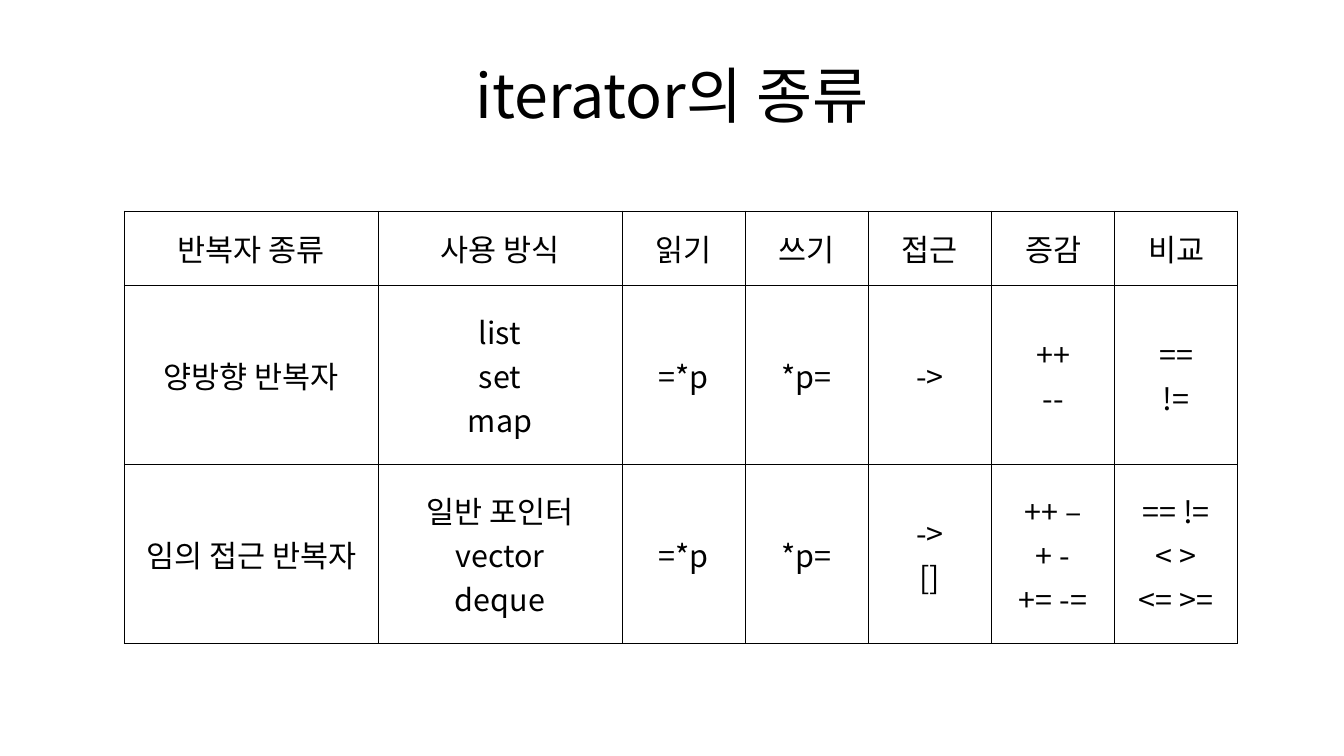
from lxml import etree
from pptx import Presentation
from pptx.dml.color import RGBColor
from pptx.enum import text as t
from pptx.oxml import ns
from pptx.util import Inches, Pt

FONT = "Noto Sans CJK KR"
BLACK = "000000"
BORDER_WIDTH = Pt(0.57)


def write(frame, content, size, color=BLACK):
    """Fill a text frame with centred paragraphs, one for each line."""
    frame.text = content
    for paragraph in frame.paragraphs:
        paragraph.alignment = t.PP_ALIGN.CENTER
        for run in paragraph.runs:
            run.font.size = Pt(size)
            run.font.color.rgb = RGBColor.from_string(color)
            run.font.name = FONT
            east_asian = etree.SubElement(run.font._element, ns.qn("a:ea"))
            east_asian.set("typeface", FONT)


def add_borders(cell, color=BLACK):
    properties = cell._tc.get_or_add_tcPr()
    for side in ("lnL", "lnR", "lnT", "lnB"):
        line = etree.SubElement(properties, ns.qn(f"a:{side}"), w=str(BORDER_WIDTH))
        fill = etree.SubElement(line, ns.qn("a:solidFill"))
        etree.SubElement(fill, ns.qn("a:srgbClr"), val=color)


presentation = Presentation()
presentation.slide_width = Inches(11.02)
presentation.slide_height = Inches(6.2)
slide = presentation.slides.add_slide(presentation.slide_layouts[6])

title = slide.shapes.add_textbox(Inches(0.55), Inches(0.25), Inches(9.92), Inches(1.04))
title_frame = title.text_frame
title_frame.word_wrap = True
title_frame.vertical_anchor = t.MSO_ANCHOR.MIDDLE
title_frame.margin_left = title_frame.margin_right = 0
title_frame.margin_top = title_frame.margin_bottom = 0
write(title_frame, "iterator의 종류", size=36)

iterator_rows = [
    ["반복자 종류", "사용 방식", "읽기", "쓰기", "접근", "증감", "비교"],
    ["양방향 반복자", "list\nset\nmap", "=*p", "*p=", "->", "++\n--", "==\n!="],
    ["임의 접근 반복자", "일반 포인터\nvector\ndeque", "=*p", "*p=", "->\n[]",
     "++ –\n+ -\n+= -=", "== !=\n< >\n<= >="],
]
column_widths = [2.08, 2] + [1.01] * 5
row_heights = [0.61, 1.47, 1.47]

table = slide.shapes.add_table(
    len(row_heights), len(column_widths), Inches(1.02), Inches(1.73),
    Inches(sum(column_widths)), Inches(sum(row_heights))).table
table.first_row = False
table.horz_banding = False
for column, width in zip(table.columns, column_widths):
    column.width = Inches(width)

for row, height, contents in zip(table.rows, row_heights, iterator_rows):
    row.height = Inches(height)
    for cell, content in zip(row.cells, contents):
        write(cell.text_frame, content, size=18)
        cell.vertical_anchor = t.MSO_ANCHOR.MIDDLE
        add_borders(cell)
        cell.fill.background()

presentation.save("out.pptx")
